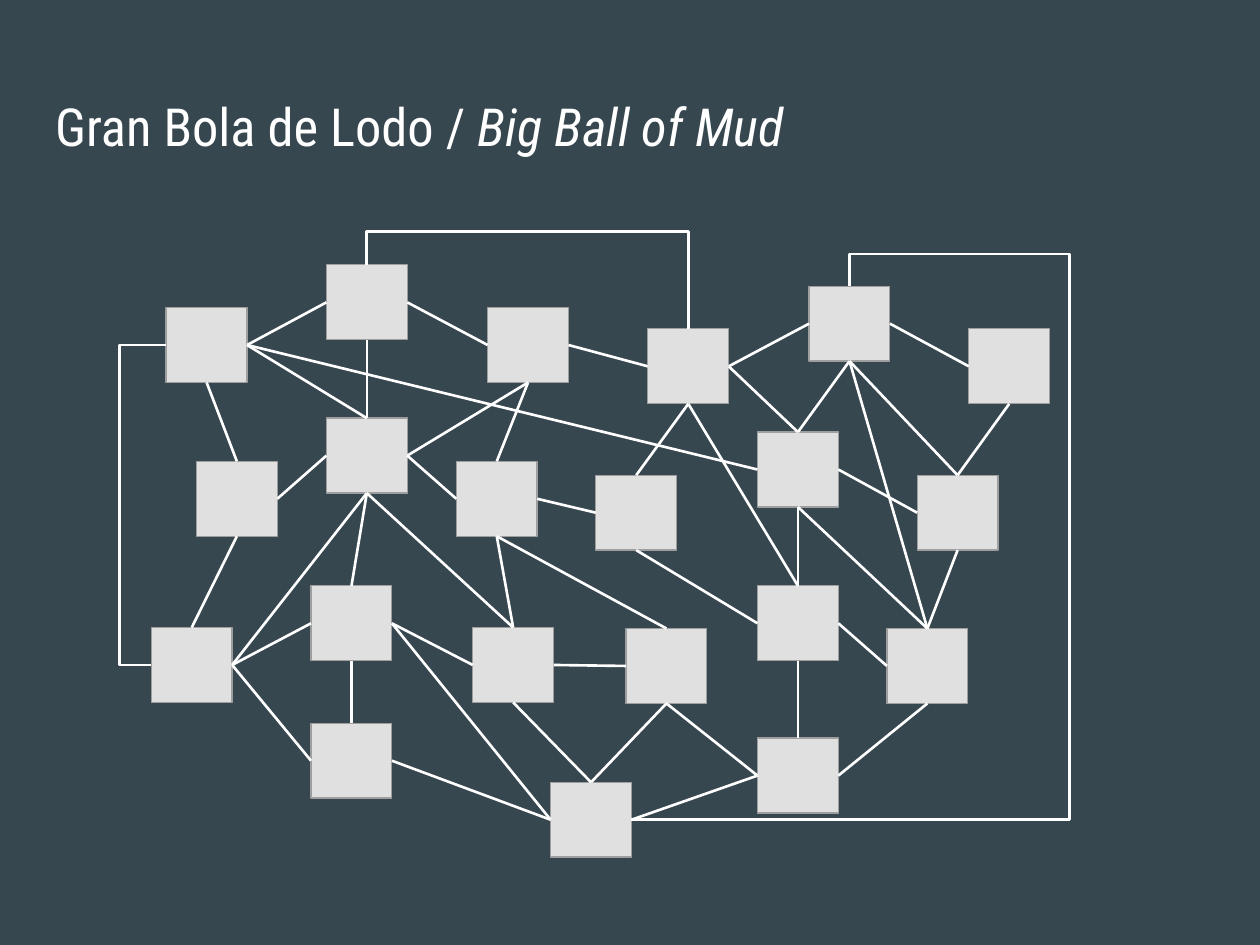
from dataclasses import dataclass

from lxml import etree
from pptx import Presentation
from pptx.dml.color import RGBColor
from pptx.enum.shapes import MSO_CONNECTOR, MSO_SHAPE
from pptx.enum.text import MSO_ANCHOR, MSO_AUTO_SIZE, PP_ALIGN
from pptx.oxml.ns import qn
from pptx.util import Cm, Pt

STRAIGHT = MSO_CONNECTOR.STRAIGHT
ELBOW = MSO_CONNECTOR.ELBOW
RECTANGLE = MSO_SHAPE.RECTANGLE
ANCHOR_TOP = MSO_ANCHOR.TOP
NO_AUTOFIT = MSO_AUTO_SIZE.NONE
ALIGN_LEFT = PP_ALIGN.LEFT
TITLE_ONLY = 5
TOP, LEFT, BOTTOM, RIGHT = range(4)


@dataclass(frozen=True)
class Theme:
    background: RGBColor = RGBColor(0x37, 0x47, 0x4F)
    text: RGBColor = RGBColor(0xFF, 0xFF, 0xFF)
    link: RGBColor = RGBColor(0xFF, 0xFF, 0xFF)
    module_fill: RGBColor = RGBColor(0xE0, 0xE0, 0xE0)
    module_line: RGBColor = RGBColor(0x9E, 0x9E, 0x9E)
    font: str = "Roboto Condensed"
    title_size: Pt = Pt(30)
    module_line_width: Pt = Pt(0.75)
    link_width: Pt = Pt(1.5)


THEME = Theme()
MODULE_WIDTH, MODULE_HEIGHT = Cm(1.63), Cm(1.51)

MODULE_ROWS = {
    "A": [(3.35, 6.2), (6.58, 5.34), (9.83, 6.2), (13.06, 6.63), (16.31, 5.77), (19.53, 6.63)],
    "B": [(3.96, 9.3), (6.58, 8.43), (9.2, 9.3), (12.01, 9.58), (15.27, 8.71), (18.49, 9.58)],
    "C": [(3.05, 12.65), (6.27, 11.81), (9.53, 12.65), (12.62, 12.67), (15.27, 11.81), (17.88, 12.67)],
    "D": [(6.27, 14.58), (11.1, 15.77), (15.27, 14.88)],
}

LINKS = {
    (RIGHT, LEFT): "A1-A2 A2-A3 A3-A4 A4-A5 A5-A6 A1-B5 B1-B2 B2-B3 B3-B4 B5-B6 "
                   "C1-C2 C1-D1 C2-C3 C2-D2 C3-C4 C5-C6 D1-D2 D2-D3",
    (BOTTOM, TOP): "A1-B1 A2-B2 A3-B3 A4-B4 A4-C5 A5-B5 A5-B6 A5-C6 A6-B6 B1-C1 B2-C2 "
                   "B2-C3 B3-C3 B3-C4 B5-C5 B5-C6 B6-C6 C2-D1 C3-D2 C4-D2 C5-D3",
    (BOTTOM, RIGHT): "A3-B2 B2-C1 C6-D3",
    (RIGHT, TOP): "A1-B2 A4-B5",
    (BOTTOM, LEFT): "B4-C5 C4-D3",
}


def add_title(slide, parts):
    title = slide.shapes.title
    title.left, title.top, title.width, title.height = Cm(0.86), Cm(1.65), Cm(23.67), Cm(2.11)
    frame = title.text_frame
    frame.auto_size = NO_AUTOFIT
    frame.vertical_anchor = ANCHOR_TOP
    frame.margin_left = frame.margin_right = frame.margin_top = frame.margin_bottom = Cm(0.25)
    paragraph = frame.paragraphs[0]
    paragraph.alignment = ALIGN_LEFT
    for text, italic in parts:
        run = paragraph.add_run()
        run.text = text
        run.font.name = THEME.font
        run.font.size = THEME.title_size
        run.font.color.rgb = THEME.text
        run.font.italic = italic


def add_module(slide, left, top):
    module = slide.shapes.add_shape(RECTANGLE, Cm(left), Cm(top), MODULE_WIDTH, MODULE_HEIGHT)
    module.shadow.inherit = False
    module.fill.solid()
    module.fill.fore_color.rgb = THEME.module_fill
    module.line.color.rgb = THEME.module_line
    module.line.width = THEME.module_line_width
    return module


def add_link(slide, start, start_side, end, end_side, kind=STRAIGHT):
    link = slide.shapes.add_connector(kind, 0, 0, 0, 0)
    link.begin_connect(start, start_side)
    link.end_connect(end, end_side)
    link.line.color.rgb = THEME.link
    link.line.width = THEME.link_width
    etree.SubElement(link._element.spPr, qn("a:effectLst"))
    return link


def bend(link, preset, *adjustments):
    geometry = link._element.spPr.find(qn("a:prstGeom"))
    geometry.set("prst", preset)
    guides = geometry.find(qn("a:avLst"))
    for number, value in enumerate(adjustments, start=1):
        guide = etree.SubElement(guides, qn("a:gd"))
        guide.set("name", f"adj{number}")
        guide.set("fmla", f"val {round(value * 100000)}")


def turn_upright(link):
    left, top, width, height = link.left, link.top, link.width, link.height
    link.left = left + (width - height) // 2
    link.top = top + (height - width) // 2
    link.width, link.height = height, width
    link.rotation = 90
    link._element.flipV = False


def add_detours(slide, modules):
    left_detour = add_link(slide, modules["A1"], LEFT, modules["C1"], LEFT, ELBOW)
    bend(left_detour, "bentConnector3", 3.15)
    right_detour = add_link(slide, modules["D2"], RIGHT, modules["A5"], TOP, ELBOW)
    bend(right_detour, "bentConnector4", 2.01, 1.06)
    top_detour = add_link(slide, modules["A4"], TOP, modules["A2"], TOP, ELBOW)
    turn_upright(top_detour)
    bend(top_detour, "bentConnector3", 1.52)


def main():
    presentation = Presentation()
    presentation.slide_width, presentation.slide_height = Cm(25.4), Cm(19.05)
    slide = presentation.slides.add_slide(presentation.slide_layouts[TITLE_ONLY])
    slide.background.fill.solid()
    slide.background.fill.fore_color.rgb = THEME.background
    add_title(slide, [("Gran Bola de Lodo / ", False), ("Big Ball of Mud", True)])

    modules = {
        f"{row}{number}": add_module(slide, left, top)
        for row, places in MODULE_ROWS.items()
        for number, (left, top) in enumerate(places, start=1)
    }
    for (start_side, end_side), pairs in LINKS.items():
        for pair in pairs.split():
            start, end = pair.split("-")
            add_link(slide, modules[start], start_side, modules[end], end_side)
    add_detours(slide, modules)
    presentation.save("out.pptx")


if __name__ == "__main__":
    main()
